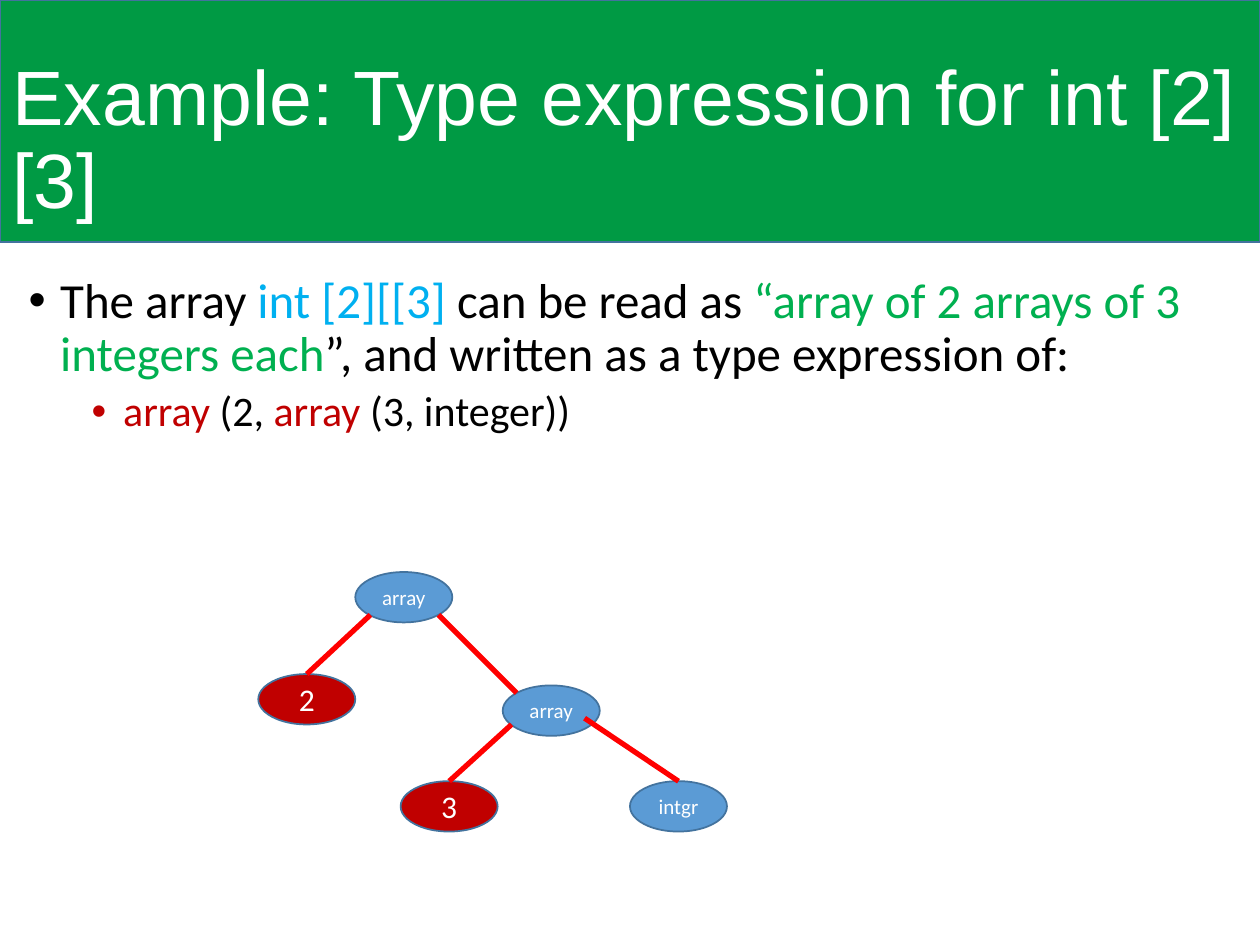
from lxml import etree
from pptx import Presentation
from pptx.dml.color import RGBColor
from pptx.enum import shapes, text
from pptx.oxml.ns import qn
from pptx.util import Inches, Pt

WHITE = RGBColor(0xFF, 0xFF, 0xFF)
BLACK = RGBColor(0, 0, 0)
BAND_GREEN = RGBColor(0x00, 0x9A, 0x44)
QUOTE_GREEN = RGBColor(0x00, 0xB0, 0x50)
CODE_BLUE = RGBColor(0x00, 0xB0, 0xF0)
NODE_BLUE = RGBColor(0x5B, 0x9B, 0xD5)
OUTLINE = RGBColor(0x43, 0x73, 0x9E)
DARK_RED = RGBColor(0xC0, 0, 0)
EDGE_RED = RGBColor(0xFF, 0, 0)


def write(para, words, color=WHITE, size=12, font="Calibri", align=text.PP_ALIGN.LEFT):
    """Add one formatted span to a paragraph."""
    span = para.add_run()
    span.text = words
    span.font.name = font
    span.font.size = Pt(size)
    span.font.color.rgb = color
    para.alignment = align


def add_filled(kind, left, top, width, height, fill):
    shape = page.shapes.add_shape(
        kind, Inches(left), Inches(top), Inches(width), Inches(height))
    shape.shadow.inherit = False
    shape.fill.solid()
    shape.fill.fore_color.rgb = fill
    shape.line.color.rgb = OUTLINE
    shape.line.width = Pt(1)
    return shape


deck = Presentation()
deck.slide_width, deck.slide_height = Inches(10), Inches(7.5)
page = deck.slides.add_slide(deck.slide_layouts[5])

# Title on a green band, which goes behind the placeholder
band = add_filled(shapes.MSO_SHAPE.RECTANGLE, 0, 0, 10, 1.92, BAND_GREEN)
title = page.shapes.title
title._element.addprevious(band._element)
title.left, title.top = Inches(0), Inches(0.4)
title.width, title.height = Inches(10), Inches(1.45)
title.text_frame.auto_size = text.MSO_AUTO_SIZE.NONE
title.text_frame.vertical_anchor = text.MSO_ANCHOR.MIDDLE
heading = title.text_frame.paragraphs[0]
heading.line_spacing = 0.9
write(heading, "Example: Type expression for int [2][3]", size=44, font="Arial")

# Bulleted text: level, size, space before, left margin, spans
bullets = [
    (0, 28, 10, 0.25, [
        ("The array ", BLACK), ("int [2][[3] ", CODE_BLUE), ("can be read as ", BLACK),
        ("“array of 2 arrays of 3 integers each", QUOTE_GREEN),
        ("”, and written as a type expression of:", BLACK)]),
    (1, 24, 5, 0.75, [
        ("array", DARK_RED), (" (2, ", BLACK),
        ("array", DARK_RED), (" (3, integer))", BLACK)]),
]
body = page.shapes.add_textbox(Inches(0.13), Inches(2.14), Inches(9.53), Inches(4.62))
frame = body.text_frame
frame.word_wrap = True
for level, size, space, margin, spans in bullets:
    para = frame.add_paragraph() if level else frame.paragraphs[0]
    para.level = level
    para.line_spacing = 0.9
    para.space_before = Pt(space)
    for words, color in spans:
        write(para, words, color, size)
    props = para._p.get_or_add_pPr()
    props.set("marL", str(Inches(margin)))
    props.set("indent", str(Inches(-0.25)))
    etree.SubElement(props, qn("a:buFont")).set("typeface", "Arial")
    etree.SubElement(props, qn("a:buChar")).set("char", "•")

# Tree nodes: name, label, left, top, fill, text size
nodes = {}
for name, label, left, top, fill, size in [
    ("outer", "array", 2.82, 4.54, NODE_BLUE, 12),
    ("inner", "array", 3.99, 5.44, NODE_BLUE, 12),
    ("element", "intgr", 5, 6.2, NODE_BLUE, 12),
    ("outer size", "2", 2.05, 5.35, DARK_RED, 18),
    ("inner size", "3", 3.18, 6.2, DARK_RED, 18),
]:
    node = add_filled(shapes.MSO_SHAPE.OVAL, left, top, 0.77, 0.4, fill)
    node.text_frame.word_wrap = False
    node.text_frame.vertical_anchor = text.MSO_ANCHOR.MIDDLE
    write(node.text_frame.paragraphs[0], label, size=size, align=text.PP_ALIGN.CENTER)
    nodes[name] = node

# Tree edges: start, end, and the leaf whose top the edge joins
for x1, y1, x2, y2, leaf in [
    (2.94, 4.88, 2.46, 5.35, "outer size"),
    (3.48, 4.88, 4.1, 5.5, None),
    (4.06, 5.75, 3.56, 6.2, "inner size"),
    (4.64, 5.7, 5.38, 6.2, "element"),
]:
    edge = page.shapes.add_connector(
        shapes.MSO_CONNECTOR.STRAIGHT, Inches(x1), Inches(y1), Inches(x2), Inches(y2))
    if leaf:
        edge.end_connect(nodes[leaf], 0)
    edge.line.color.rgb = EDGE_RED
    edge.line.width = Pt(3)
    etree.SubElement(edge._element.spPr, qn("a:effectLst"))

deck.save("out.pptx")
